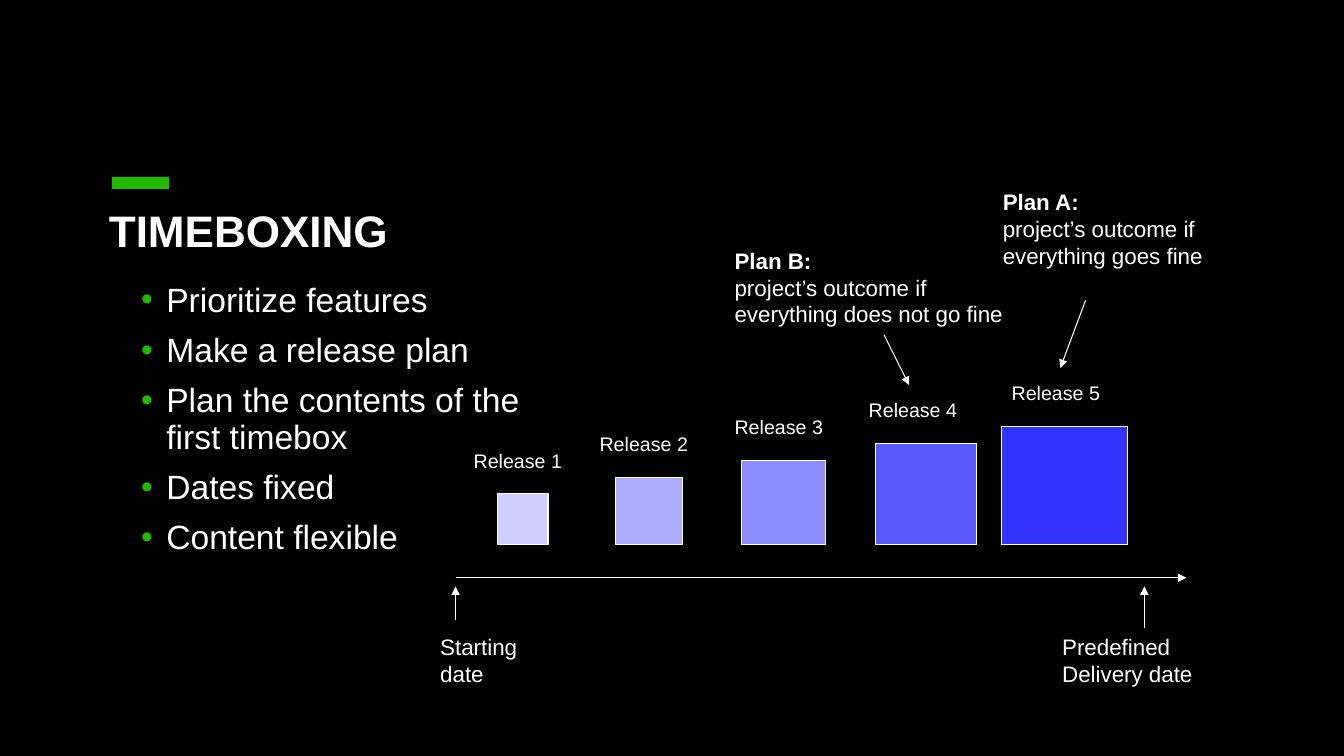
from dataclasses import dataclass

from lxml import etree
from pptx import Presentation
from pptx.dml.color import RGBColor
from pptx.enum import shapes, text
from pptx.oxml import ns
from pptx.util import Pt


@dataclass
class Theme:
    font: str = "Arial"
    background: str = "000000"
    ink: str = "FFFFFF"
    accent: str = "23B900"
    releases: tuple = ("CDCDFF", "ADADFF", "8B8BFF", "5959FF", "3333FF")
    title: float = 31.5
    body: float = 24
    note: float = 16
    label: float = 14
    line: float = 0.75


def rgb(value):
    return RGBColor.from_string(value)


def write(paragraph, words, *, font, size, color, bold=False, spacing=1.0, before=0):
    """Write one left-aligned paragraph with its format."""
    paragraph.text = words
    paragraph.alignment = text.PP_ALIGN.LEFT
    paragraph.line_spacing = spacing
    paragraph.space_before = Pt(before)
    for run in paragraph.runs:
        run.font.name = font
        run.font.size = Pt(size)
        run.font.bold = bold
        run.font.color.rgb = rgb(color)


class SlideBuilder:
    def __init__(self, slide, theme):
        self.slide = slide
        self.theme = theme
        fill = slide.background.fill
        fill.solid()
        fill.fore_color.rgb = rgb(theme.background)

    def _place(self, holder, box, anchor):
        holder.left, holder.top, holder.width, holder.height = map(Pt, box)
        frame = holder.text_frame
        frame.word_wrap = True
        frame.auto_size = text.MSO_AUTO_SIZE.NONE
        frame.vertical_anchor = anchor
        return frame

    def _lines(self, frame, lines, **style):
        for i, words in enumerate(lines):
            paragraph = frame.add_paragraph() if i else frame.paragraphs[0]
            yield i, paragraph, words, dict(font=self.theme.font, color=self.theme.ink, **style)

    def title(self, words, box):
        frame = self._place(self.slide.shapes.title, box, text.MSO_ANCHOR.MIDDLE)
        write(frame.paragraphs[0], words, font=self.theme.font, size=self.theme.title,
              color=self.theme.ink, bold=True, spacing=0.9)

    def bullets(self, items, box, indent=18):
        frame = self._place(self.slide.placeholders[1], box, text.MSO_ANCHOR.TOP)
        for i, paragraph, words, style in self._lines(frame, items, size=self.theme.body):
            props = paragraph._p.get_or_add_pPr()
            props.set("marL", str(Pt(indent)))
            props.set("indent", str(-Pt(indent)))
            color = etree.SubElement(props, ns.qn("a:buClr"))
            etree.SubElement(color, ns.qn("a:srgbClr"), val=self.theme.accent)
            etree.SubElement(props, ns.qn("a:buFont"), typeface=self.theme.font)
            etree.SubElement(props, ns.qn("a:buChar"), char="•")
            write(paragraph, words, spacing=0.9, before=10 if i else 0, **style)

    def note(self, lines, box, size, headed=False):
        holder = self.slide.shapes.add_textbox(0, 0, 0, 0)
        frame = self._place(holder, box, text.MSO_ANCHOR.TOP)
        for i, paragraph, words, style in self._lines(frame, lines, size=size):
            write(paragraph, words, bold=headed and i == 0, **style)

    def block(self, box, fill, outlined=True):
        block = self.slide.shapes.add_shape(shapes.MSO_SHAPE.RECTANGLE, *map(Pt, box))
        block.shadow.inherit = False
        block.fill.solid()
        block.fill.fore_color.rgb = rgb(fill)
        if outlined:
            block.line.color.rgb = rgb(self.theme.ink)
            block.line.width = Pt(self.theme.line)
        else:
            block.line.fill.background()

    def arrow(self, start, end):
        arrow = self.slide.shapes.add_connector(
            shapes.MSO_CONNECTOR.STRAIGHT, *map(Pt, (*start, *end)))
        arrow.line.color.rgb = rgb(self.theme.ink)
        arrow.line.width = Pt(self.theme.line)
        etree.SubElement(arrow.line._get_or_add_ln(), ns.qn("a:tailEnd"), type="triangle")
        etree.SubElement(arrow._element.spPr, ns.qn("a:effectLst"))


def main():
    deck = Presentation()
    deck.slide_width, deck.slide_height = Pt(960), Pt(540)
    theme = Theme()
    page = SlideBuilder(deck.slides.add_slide(deck.slide_layouts[1]), theme)

    # Heading and list
    page.block((79.9, 126.4, 41, 8.6), theme.accent, outlined=False)
    page.title("TIMEBOXING", (70.6, 148.3, 446.4, 36.7))
    page.bullets(("Prioritize features", "Make a release plan",
                  "Plan the contents of the first timebox",
                  "Dates fixed", "Content flexible"), (93.6, 198.7, 297.4, 287.3))

    # Releases grow by one step each and stand on a common base
    base, first_height, step = 388.8, 36, 12
    first_label_top = 316.8
    releases = ((355.5, 36, 331.2), (439.4, 48, 421.2), (529.4, 60, 517.6),
                (625.4, 72, 613.4), (715.5, 90, 715.5))
    for i, (left, width, label_left) in enumerate(releases):
        height = first_height + step * i
        page.block((left, base - height, width, height), theme.releases[i])
        page.note([f"Release {i + 1}"],
                  (label_left, first_label_top - step * i, 82.8, 24), theme.label)

    # Time axis with its start and delivery dates
    page.arrow((325.4, 412.7), (847.4, 412.7))
    page.arrow((325.4, 442.8), (325.4, 418.9))
    page.arrow((817.4, 448.6), (817.4, 418.9))
    page.note(("Starting", "date"), (307.4, 448.6, 79.2, 46), theme.note)
    page.note(("Predefined", "Delivery date"), (751.6, 448.6, 121.7, 46), theme.note)

    # Plans pointing at the last two releases
    page.note(("Plan B:", "project’s outcome if", "everything does not go fine"),
              (517.6, 172.8, 236.2, 84.2), theme.note, headed=True)
    page.note(("Plan A:", "project’s outcome if", "everything goes fine"),
              (709.2, 131, 180, 64.8), theme.note, headed=True)
    page.arrow((775.4, 214.6), (757.4, 262.8))
    page.arrow((631.4, 239), (649.4, 275))

    deck.save("out.pptx")


if __name__ == "__main__":
    main()
